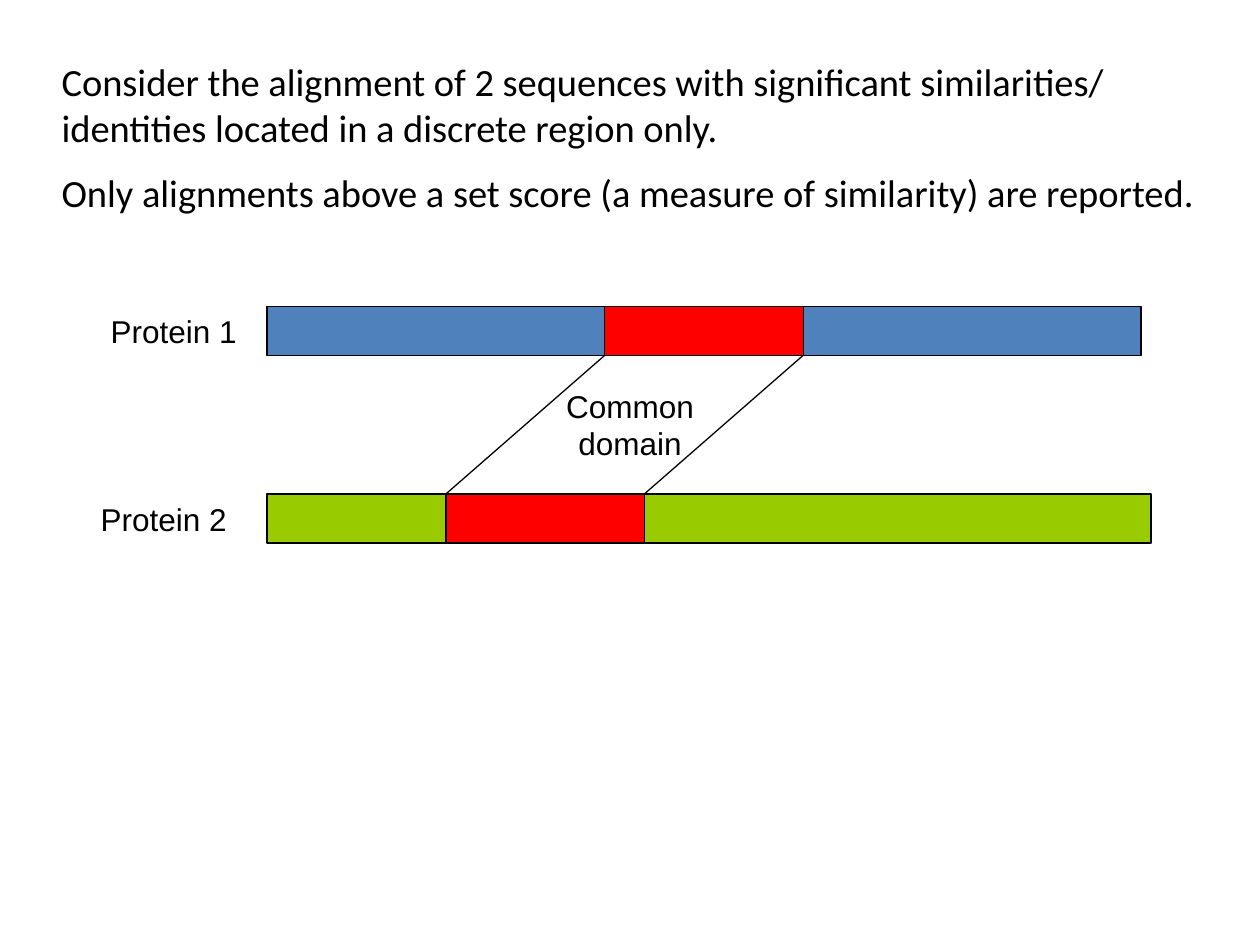
from lxml.etree import SubElement
from pptx import Presentation
from pptx.dml.color import RGBColor
from pptx.enum.shapes import MSO_CONNECTOR as Connector, MSO_SHAPE as Shape
from pptx.enum.text import PP_ALIGN as Align
from pptx.oxml.ns import qn
from pptx.util import Inches, Pt


def color(hex_code):
    return RGBColor.from_string(hex_code)


def write(left, top, width, height, lines, font, size, align=Align.LEFT):
    frame = slide.shapes.add_textbox(
        Inches(left), Inches(top), Inches(width), Inches(height)).text_frame
    frame.word_wrap = True
    frame.text = "\n".join(lines)
    for index, paragraph in enumerate(frame.paragraphs):
        paragraph.alignment = align
        paragraph.space_before = Pt(size / 2 if index else 0)
        paragraph.font.name = font
        paragraph.font.size = Pt(size)
        paragraph.font.color.rgb = color("000000")


deck = Presentation()
deck.slide_width, deck.slide_height = Inches(10), Inches(7.5)
slide = deck.slides.add_slide(deck.slide_layouts[6])

write(0.39, 0.41, 9.21, 1.85, [
    "Consider the alignment of 2 sequences with significant similarities/ "
    "identities located in a discrete region only.",
    "Only alignments above a set score (a measure of similarity) are reported.",
], "Calibri", 22)

bar_left, bar_height, domain_width = 2.12, 0.39, 1.575
proteins = [
    ("Protein 1", 0.78, 2.43, "4F81BD", 2.68, 2.68),
    ("Protein 2", 0.7, 3.92, "99CC00", 1.42, 4.02),
]
domain_starts = []
for label, label_left, top, hue, before, after in proteins:
    write(label_left, top, 1.26, 0.4, [label], "Arial", 18)
    left = bar_left
    for width, fill in ((before, hue), (domain_width, "FF0000"), (after, hue)):
        region = slide.shapes.add_shape(
            Shape.RECTANGLE, Inches(left), Inches(top), Inches(width), Inches(bar_height))
        region.shadow.inherit = False
        region.fill.solid()
        region.fill.fore_color.rgb = color(fill)
        region.line.color.rgb = color("000000")
        region.line.width = Pt(0.75)
        left += width
    domain_starts.append(bar_left + before)

upper_top, lower_top = (protein[2] for protein in proteins)
for offset in (0, domain_width):
    upper_x, lower_x = (start + offset for start in domain_starts)
    link = slide.shapes.add_connector(
        Connector.STRAIGHT, Inches(upper_x), Inches(upper_top + bar_height),
        Inches(lower_x), Inches(lower_top))
    link.line.color.rgb = color("000000")
    link.line.width = Pt(0.75)
    SubElement(link._element.spPr, qn("a:effectLst"))

write(4.37, 3.02, 1.26, 0.7, ["Common domain"], "Arial", 18, Align.CENTER)

deck.save("out.pptx")
